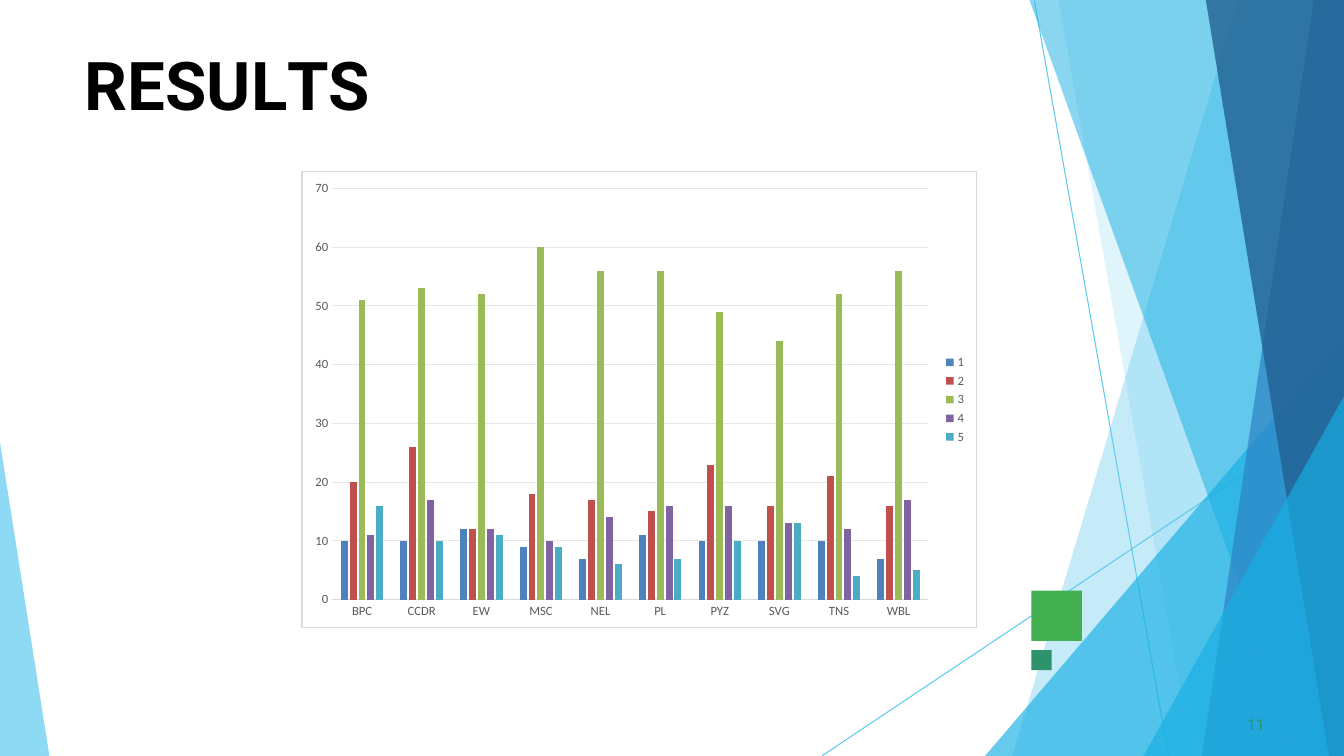
"""Build the results slide: faceted backdrop, title, clustered column chart and page number."""
import dataclasses

import lxml.etree
import pptx
import pptx.chart.data
import pptx.dml.color
import pptx.enum.chart
import pptx.enum.shapes
import pptx.oxml
import pptx.oxml.ns
import pptx.util

Inches = pptx.util.Inches
WIDTH, HEIGHT = 13.33, 7.5
COLORS: dict[str, str] = {
    "sky": "5FCAEE", "cyan": "17AFE3", "blue": "2D83C3", "navy": "226192",
    "green": "42AF51", "teal": "2D936B", "black": "000000", "white": "FFFFFF",
    "label": "595959", "border": "D9D9D9", "grid": "E6E6E6",
    "1": "4F81BD", "2": "C0504D", "3": "9BBB59", "4": "8064A2", "5": "4BACC6",
}
CATEGORIES = ["BPC", "CCDR", "EW", "MSC", "NEL", "PL", "PYZ", "SVG", "TNS", "WBL"]
SERIES: dict[str, list[int]] = {
    "1": [10, 10, 12, 9, 7, 11, 10, 10, 10, 7],
    "2": [20, 26, 12, 18, 17, 15, 23, 16, 21, 16],
    "3": [51, 53, 52, 60, 56, 56, 49, 44, 52, 56],
    "4": [11, 17, 12, 10, 14, 16, 16, 13, 12, 17],
    "5": [16, 10, 11, 9, 6, 7, 10, 13, 4, 5],
}


@dataclasses.dataclass
class Ray:
    """A thin line across the backdrop."""
    start: tuple[float, float]
    end: tuple[float, float]


@dataclasses.dataclass
class Facet:
    """A translucent polygon; opacity is in percent."""
    points: list[tuple[float, float]]
    color: str
    opacity: int


@dataclasses.dataclass
class Square:
    """A small solid accent square."""
    left: float
    top: float
    size: float
    color: str


@dataclasses.dataclass
class Label:
    """A one-line text; each run is its text and letter spacing in points."""
    left: float
    top: float
    width: float
    height: float
    indent: float
    space_before: float
    size: int
    color: str
    bold: bool
    runs: list[tuple[str, float]]


def band(top_left: float, bottom_left: float, color: str, opacity: int) -> Facet:
    """Return a full-height facet that reaches the right edge."""
    return Facet([(WIDTH, 0), (top_left, 0), (bottom_left, HEIGHT), (WIDTH, HEIGHT)], color, opacity)


def wedge(top: float, left: float) -> Facet:
    """Return a triangle in the bottom right corner."""
    return Facet([(WIDTH, top), (left, HEIGHT), (WIDTH, HEIGHT)], "cyan", 66)


RAYS = [Ray((10.26, 0.01), (11.59, HEIGHT)), Ray((WIDTH, 4.04), (8.15, HEIGHT))]
FACETS = [
    band(12.28, 10.04, "sky", 36),
    band(10.5, 11.82, "sky", 20),
    wedge(3.33, 9.77),
    band(10.21, 12.91, "cyan", 50),
    band(13.03, 11.92, "blue", 70),
    band(11.96, 13.18, "navy", 80),
    wedge(3.93, 11.34),
    Facet([(0, 4.39), (0, HEIGHT), (0.49, HEIGHT)], "sky", 70),
]
SQUARES = [Square(10.23, 5.86, 0.5, "green"), Square(10.23, 6.45, 0.2, "teal")]
LABELS = [
    Label(0.83, 0.42, 3.16, 0.81, 0.01, 1.1, 48, "black", True,
          [("R", 0), ("E", -0.4), ("S", 0.1), ("U", -0.3), ("L", -4), ("TS", 0)]),
    Label(12.33, 7.08, 0.25, 0.19, 0.04, 0.6, 11, "teal", False, [("11", 0.1)]),
]


def rgb(name: str) -> pptx.dml.color.RGBColor:
    """Look up a named colour."""
    return pptx.dml.color.RGBColor.from_string(COLORS[name])


def style_line(line, color: str) -> None:
    """Give a line its colour and the common hairline width."""
    line.color.rgb = rgb(color)
    line.width = pptx.util.Pt(0.75)


def style_shape(shape, color: str) -> None:
    """Give a shape a flat fill without outline or shadow."""
    shape.shadow.inherit = False
    shape.fill.solid()
    shape.fill.fore_color.rgb = rgb(color)
    shape.line.fill.background()


def draw_ray(slide, ray: Ray) -> None:
    """Draw a backdrop line."""
    connector = slide.shapes.add_connector(
        pptx.enum.shapes.MSO_CONNECTOR.STRAIGHT, *map(Inches, ray.start + ray.end))
    style_line(connector.line, "sky")
    lxml.etree.SubElement(connector._element.spPr, pptx.oxml.ns.qn("a:effectLst"))


def draw_facet(slide, facet: Facet) -> None:
    """Draw a translucent polygon."""
    points = [(Inches(x), Inches(y)) for x, y in facet.points]
    builder = slide.shapes.build_freeform(*points[0])
    builder.add_line_segments(points[1:], close=True)
    shape = builder.convert_to_shape()
    style_shape(shape, facet.color)
    color = shape._element.spPr.find(".//" + pptx.oxml.ns.qn("a:srgbClr"))
    lxml.etree.SubElement(color, pptx.oxml.ns.qn("a:alpha"), val=str(facet.opacity * 1000))


def draw_square(slide, square: Square) -> None:
    """Draw an accent square."""
    shape = slide.shapes.add_shape(
        pptx.enum.shapes.MSO_SHAPE.RECTANGLE,
        *map(Inches, (square.left, square.top, square.size, square.size)))
    style_shape(shape, square.color)


def draw_label(slide, label: Label) -> None:
    """Draw a text box run by run."""
    box = slide.shapes.add_textbox(*map(Inches, (label.left, label.top, label.width, label.height)))
    frame = box.text_frame
    frame.word_wrap = True
    frame.margin_left = frame.margin_right = frame.margin_bottom = 0
    frame.margin_top = Inches(0.01)
    paragraph = frame.paragraphs[0]
    paragraph.space_before = pptx.util.Pt(label.space_before)
    paragraph._p.get_or_add_pPr().set("marL", str(Inches(label.indent)))
    for text, spacing in label.runs:
        run = paragraph.add_run()
        run.text = text
        style_font(run.font, label.size, label.color, "Roboto")
        run.font.bold = label.bold
        run._r.get_or_add_rPr().set("spc", str(round(spacing * 100)))


def style_font(font, size: int, color: str, name: str = "Calibri") -> None:
    """Set the size, colour and typeface of a font."""
    font.size = pptx.util.Pt(size)
    font.color.rgb = rgb(color)
    font.name = name


def draw_chart(slide) -> None:
    """Draw the clustered column chart."""
    data = pptx.chart.data.CategoryChartData()
    data.categories = CATEGORIES
    for name, values in SERIES.items():
        data.add_series(name, values)
    chart = slide.shapes.add_chart(
        pptx.enum.chart.XL_CHART_TYPE.COLUMN_CLUSTERED,
        *map(Inches, (2.99, 1.7, 6.7, 4.53)), data).chart
    chart.has_title = False
    style_font(chart.font, 10, "black")
    chart.has_legend = True
    chart.legend.position = pptx.enum.chart.XL_LEGEND_POSITION.RIGHT
    chart.legend.include_in_layout = False
    style_font(chart.legend.font, 9, "label")
    for axis in (chart.category_axis, chart.value_axis):
        axis.major_tick_mark = axis.minor_tick_mark = pptx.enum.chart.XL_TICK_MARK.NONE
        style_font(axis.tick_labels.font, 9, "label")
    style_line(chart.category_axis.format.line, "border")
    chart.value_axis.format.line.fill.background()
    chart.value_axis.minimum_scale, chart.value_axis.maximum_scale = 0, 70
    chart.value_axis.major_unit = 10
    style_line(chart.value_axis.major_gridlines.format.line, "grid")
    plot = chart.plots[0]
    plot.gap_width, plot.overlap, plot.vary_by_categories = 246, -28, False
    for series in plot.series:
        series.format.fill.solid()
        series.format.fill.fore_color.rgb = rgb(series.name)
    frame = pptx.oxml.parse_xml(
        f'<c:spPr {pptx.oxml.ns.nsdecls("c", "a")}>'
        f'<a:solidFill><a:srgbClr val="{COLORS["white"]}"/></a:solidFill>'
        f'<a:ln w="{pptx.util.Pt(0.75)}"><a:solidFill><a:srgbClr val="{COLORS["border"]}"/>'
        '</a:solidFill></a:ln></c:spPr>')
    chart._chartSpace.find(pptx.oxml.ns.qn("c:chart")).addnext(frame)


def main() -> None:
    """Assemble and save the slide."""
    presentation = pptx.Presentation()
    presentation.slide_width, presentation.slide_height = Inches(WIDTH), Inches(HEIGHT)
    slide = presentation.slides.add_slide(presentation.slide_layouts[6])
    for items, draw in ((RAYS, draw_ray), (FACETS, draw_facet),
                        (SQUARES, draw_square), (LABELS, draw_label)):
        for item in items:
            draw(slide, item)
    draw_chart(slide)
    presentation.save("out.pptx")


if __name__ == "__main__":
    main()
